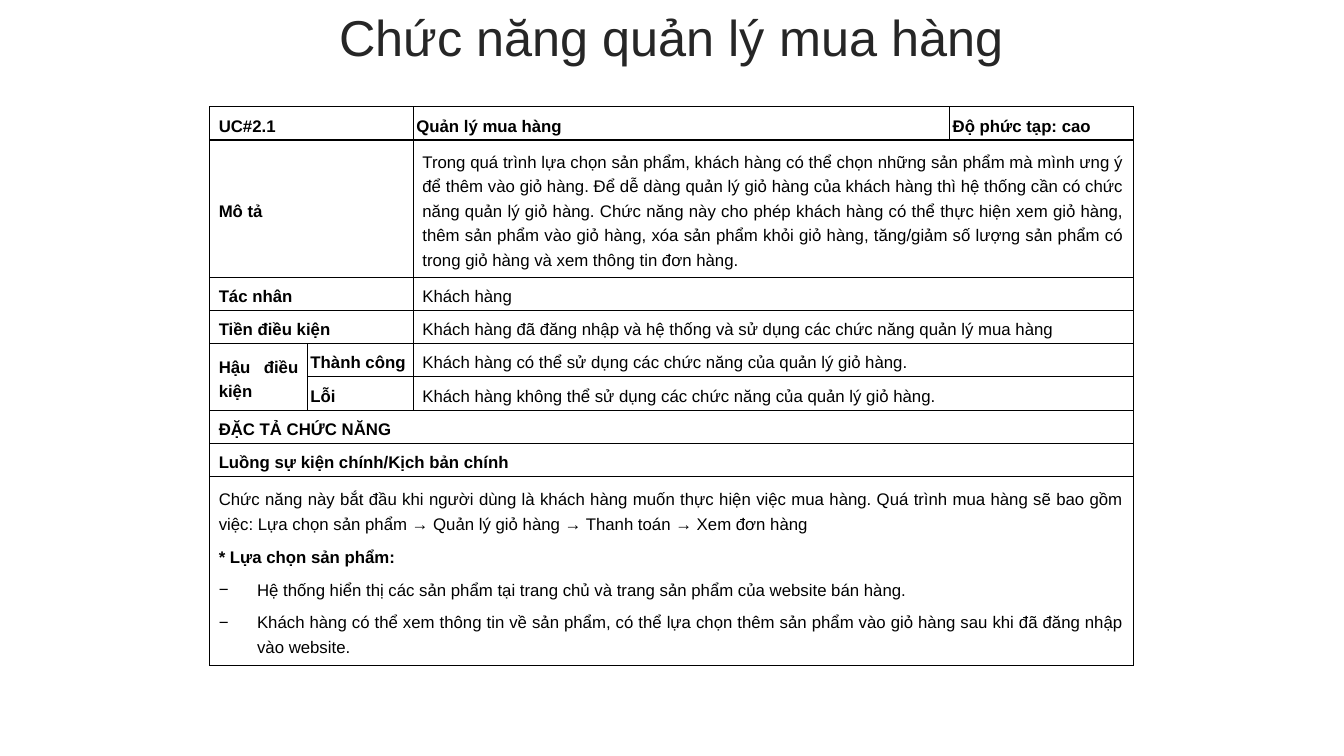
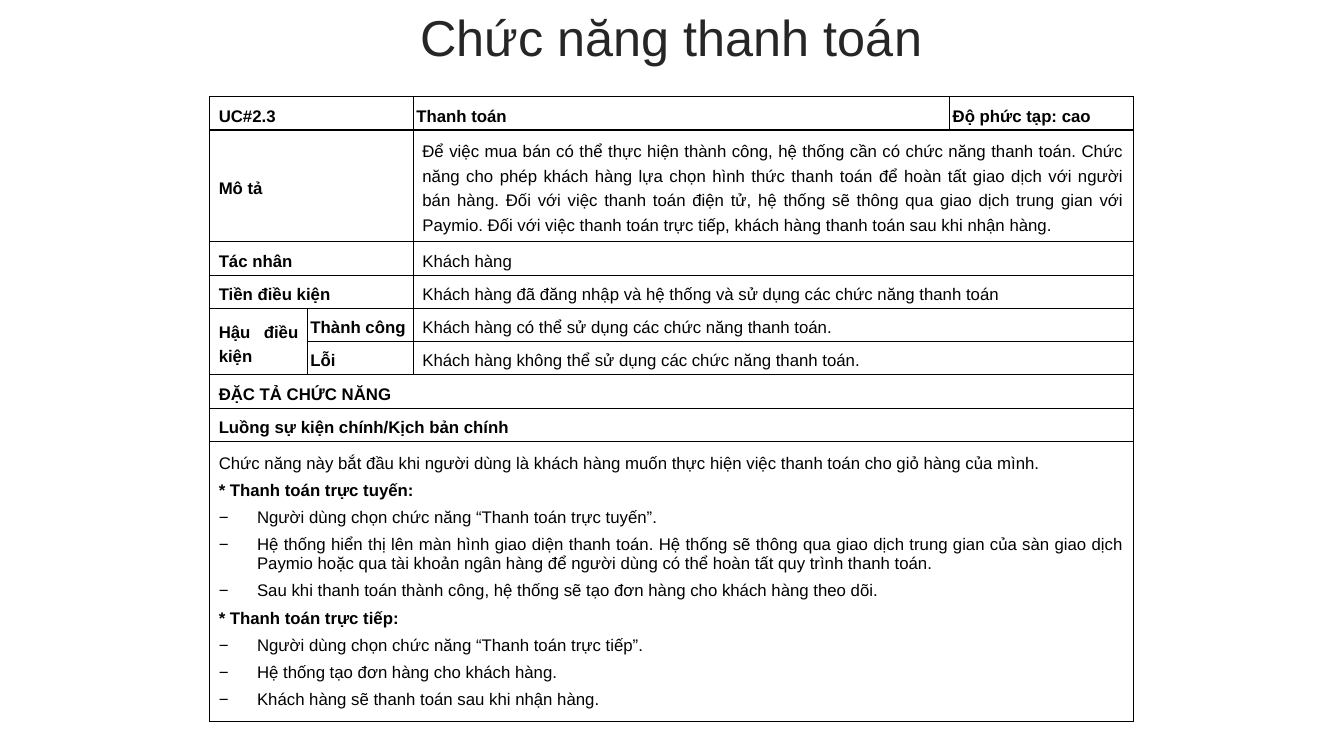
from dataclasses import dataclass

from lxml.etree import SubElement
from pptx import Presentation
from pptx.dml.color import RGBColor
from pptx.enum.text import MSO_ANCHOR, PP_ALIGN
from pptx.oxml.ns import qn
from pptx.util import Inches, Pt

FONT = "Arial"
TITLE_COLOR = "262626"
TEXT_COLOR = "000000"
BORDER_COLOR = "000000"
COLUMN_WIDTHS = [0.97, 1.05, 5.32, 1.82]
TABLE_LEFT = 2.08
ROW_HEIGHT = 0.33
WIDE_MARGINS = (0.09, 0.03)
NARROW_MARGINS = (0.03, 0)
BULLET_INDENT = 0.38
PLAIN, HEADING, BULLET = "plain", "heading", "bullet"


@dataclass
class UseCase:
    title: str
    code: str
    name: str
    description: str
    precondition: str
    success: str
    failure: str
    flow: list
    flow_spacing: float
    table_top: float
    description_height: float
    flow_height: float


PURCHASE = UseCase(
    title="Chức năng quản lý mua hàng",
    code="UC#2.1",
    name="Quản lý mua hàng",
    description=(
        "Trong quá trình lựa chọn sản phẩm, khách hàng có thể chọn những sản phẩm mà mình ưng ý "
        "để thêm vào giỏ hàng. Để dễ dàng quản lý giỏ hàng của khách hàng thì hệ thống cần có chức "
        "năng quản lý giỏ hàng. Chức năng này cho phép khách hàng có thể thực hiện xem giỏ hàng, "
        "thêm sản phẩm vào giỏ hàng, xóa sản phẩm khỏi giỏ hàng, tăng/giảm số lượng sản phẩm có "
        "trong giỏ hàng và xem thông tin đơn hàng."
    ),
    precondition="Khách hàng đã đăng nhập và hệ thống và sử dụng các chức năng quản lý mua hàng",
    success="Khách hàng có thể sử dụng các chức năng của quản lý giỏ hàng.",
    failure="Khách hàng không thể sử dụng các chức năng của quản lý giỏ hàng.",
    flow=[
        (PLAIN, "Chức năng này bắt đầu khi người dùng là khách hàng muốn thực hiện việc mua hàng. "
                "Quá trình mua hàng sẽ bao gồm việc: Lựa chọn sản phẩm → Quản lý giỏ hàng → "
                "Thanh toán → Xem đơn hàng"),
        (HEADING, "* Lựa chọn sản phẩm:"),
        (BULLET, "Hệ thống hiển thị các sản phẩm tại trang chủ và trang sản phẩm của website bán hàng."),
        (BULLET, "Khách hàng có thể xem thông tin về sản phẩm, có thể lựa chọn thêm sản phẩm vào "
                 "giỏ hàng sau khi đã đăng nhập vào website."),
    ],
    flow_spacing=1.3,
    table_top=1.06,
    description_height=1.3,
    flow_height=1.84,
)

PAYMENT = UseCase(
    title="Chức năng thanh toán",
    code="UC#2.3",
    name="Thanh toán",
    description=(
        "Để việc mua bán có thể thực hiện thành công, hệ thống cần có chức năng thanh toán. Chức "
        "năng cho phép khách hàng lựa chọn hình thức thanh toán để hoàn tất giao dịch với người "
        "bán hàng. Đối với việc thanh toán điện tử, hệ thống sẽ thông qua giao dịch trung gian với "
        "Paymio. Đối với việc thanh toán trực tiếp, khách hàng thanh toán sau khi nhận hàng."
    ),
    precondition="Khách hàng đã đăng nhập và hệ thống và sử dụng các chức năng thanh toán",
    success="Khách hàng có thể sử dụng các chức năng thanh toán.",
    failure="Khách hàng không thể sử dụng các chức năng thanh toán.",
    flow=[
        (PLAIN, "Chức năng này bắt đầu khi người dùng là khách hàng muốn thực hiện việc thanh toán "
                "cho giỏ hàng của mình."),
        (HEADING, "* Thanh toán trực tuyến:"),
        (BULLET, "Người dùng chọn chức năng “Thanh toán trực tuyến”."),
        (BULLET, "Hệ thống hiển thị lên màn hình giao diện thanh toán. Hệ thống sẽ thông qua giao "
                 "dịch trung gian của sàn giao dịch Paymio hoặc qua tài khoản ngân hàng để người "
                 "dùng có thể hoàn tất quy trình thanh toán."),
        (BULLET, "Sau khi thanh toán thành công, hệ thống sẽ tạo đơn hàng cho khách hàng theo dõi."),
        (HEADING, "* Thanh toán trực tiếp:"),
        (BULLET, "Người dùng chọn chức năng “Thanh toán trực tiếp”."),
        (BULLET, "Hệ thống tạo đơn hàng cho khách hàng."),
        (BULLET, "Khách hàng sẽ thanh toán sau khi nhận hàng."),
    ],
    flow_spacing=1.0,
    table_top=0.96,
    description_height=1.11,
    flow_height=2.78,
)


def color(value):
    return RGBColor.from_string(value)


def set_font(paragraph, size, font_color, bold=False):
    font = paragraph.font
    font.name = FONT
    font.size = Pt(size)
    font.bold = bold
    font.color.rgb = color(font_color)


def add_title(slide, text):
    shape = slide.shapes.add_textbox(Inches(0.33), Inches(0), Inches(12.66), Inches(0.79))
    frame = shape.text_frame
    frame.word_wrap = True
    frame.vertical_anchor = MSO_ANCHOR.MIDDLE
    paragraph = frame.paragraphs[0]
    paragraph.text = text
    paragraph.alignment = PP_ALIGN.CENTER
    paragraph.line_spacing = 0.9
    set_font(paragraph, 36, TITLE_COLOR)


def add_bullet(paragraph):
    properties = paragraph._p.get_or_add_pPr()
    properties.set("marL", str(Inches(BULLET_INDENT)))
    properties.set("indent", str(-Inches(BULLET_INDENT)))
    SubElement(properties, qn("a:buFont"), typeface=FONT)
    SubElement(properties, qn("a:buChar"), char="−")


def style_cell(cell):
    properties = cell._tc.get_or_add_tcPr()
    for side in ("a:lnL", "a:lnR", "a:lnT", "a:lnB"):
        line = SubElement(properties, qn(side), w=str(Pt(1)))
        fill = SubElement(line, qn("a:solidFill"))
        SubElement(fill, qn("a:srgbClr"), val=BORDER_COLOR)
    cell.fill.background()


def fill_cell(cell, items, margins=WIDE_MARGINS, line_spacing=1.3):
    cell.vertical_anchor = MSO_ANCHOR.MIDDLE
    cell.margin_left = cell.margin_right = Inches(margins[0])
    cell.margin_top = cell.margin_bottom = Inches(margins[1])
    frame = cell.text_frame
    for index, (kind, text) in enumerate(items):
        paragraph = frame.add_paragraph() if index else frame.paragraphs[0]
        paragraph.text = text
        if kind == BULLET:
            add_bullet(paragraph)
        paragraph.alignment = PP_ALIGN.JUSTIFY
        paragraph.line_spacing = line_spacing
        if index:
            paragraph.space_before = Pt(3)
        paragraph.space_after = Pt(3)
        set_font(paragraph, 12, TEXT_COLOR, kind == HEADING)


def add_use_case_table(slide, use_case):
    row_heights = [ROW_HEIGHT] * 9
    row_heights[1] = use_case.description_height
    row_heights[-1] = use_case.flow_height
    table = slide.shapes.add_table(
        len(row_heights), len(COLUMN_WIDTHS), Inches(TABLE_LEFT), Inches(use_case.table_top),
        Inches(sum(COLUMN_WIDTHS)), Inches(sum(row_heights)),
    ).table
    table.first_row = table.horz_banding = False
    for column, width in zip(table.columns, COLUMN_WIDTHS):
        column.width = Inches(width)
    for row, height in zip(table.rows, row_heights):
        row.height = Inches(height)
    for cell in table.iter_cells():
        style_cell(cell)

    def merge(row, column, last_row, last_column):
        table.cell(row, column).merge(table.cell(last_row, last_column))

    for row in range(4):
        merge(row, 0, row, 1)
    for row in range(1, 6):
        merge(row, 2, row, 3)
    merge(4, 0, 5, 0)
    for row in range(6, 9):
        merge(row, 0, row, 3)

    labels = [use_case.code, "Mô tả", "Tác nhân", "Tiền điều kiện", "Hậu điều kiện"]
    for row, text in enumerate(labels):
        fill_cell(table.cell(row, 0), [(HEADING, text)])
    for row, text in enumerate(["ĐẶC TẢ CHỨC NĂNG", "Luồng sự kiện chính/Kịch bản chính"], 6):
        fill_cell(table.cell(row, 0), [(HEADING, text)])
    narrow_labels = [(0, 2, use_case.name), (0, 3, "Độ phức tạp: cao"),
                     (4, 1, "Thành công"), (5, 1, "Lỗi")]
    for row, column, text in narrow_labels:
        fill_cell(table.cell(row, column), [(HEADING, text)], NARROW_MARGINS)
    values = [use_case.description, "Khách hàng", use_case.precondition,
              use_case.success, use_case.failure]
    for row, text in enumerate(values, 1):
        fill_cell(table.cell(row, 2), [(PLAIN, text)])
    fill_cell(table.cell(8, 0), use_case.flow, line_spacing=use_case.flow_spacing)


def main():
    presentation = Presentation()
    presentation.slide_width = Inches(13.33)
    presentation.slide_height = Inches(7.5)
    for use_case in (PURCHASE, PAYMENT):
        slide = presentation.slides.add_slide(presentation.slide_layouts[6])
        add_title(slide, use_case.title)
        add_use_case_table(slide, use_case)
    presentation.save("out.pptx")


if __name__ == "__main__":
    main()
